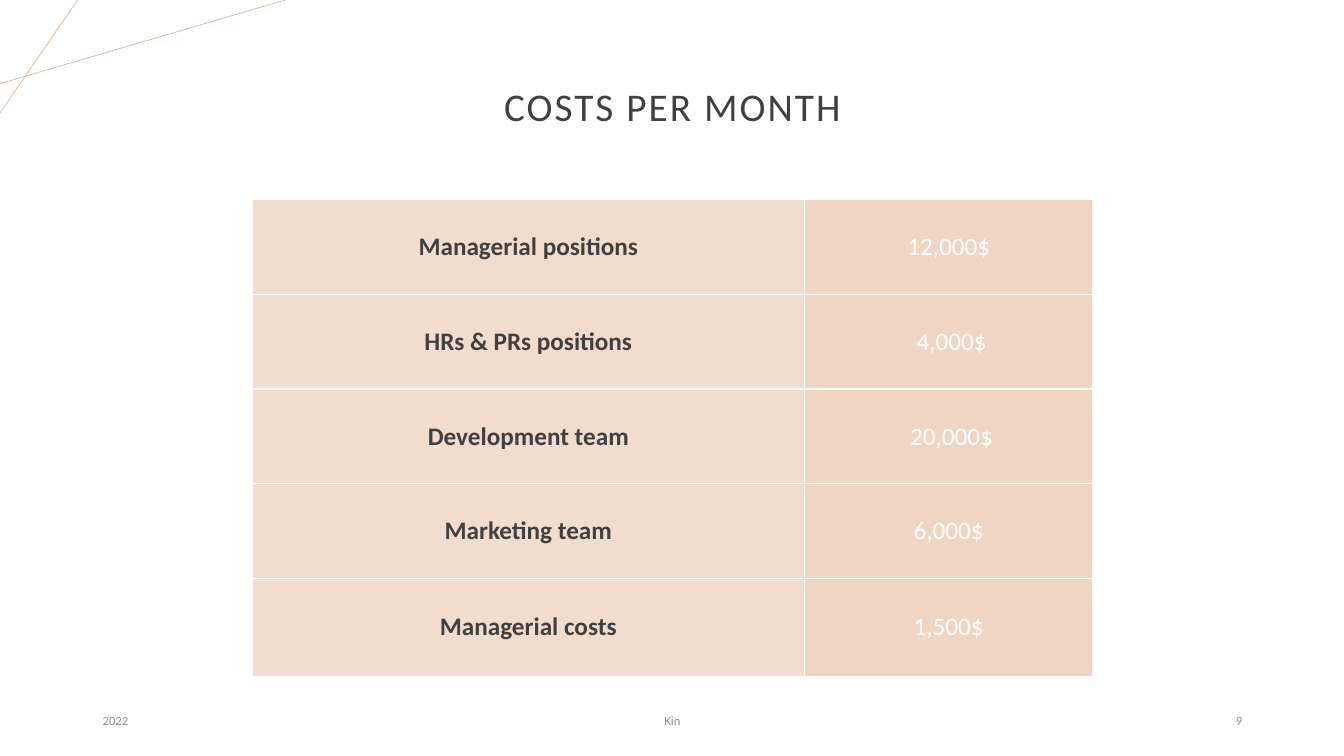
from lxml import etree
from pptx import Presentation
from pptx.dml.color import RGBColor
from pptx.enum import shapes, text
from pptx.oxml import ns
from pptx.util import Inches, Pt

FONT = "Calibri"
DARK, GREY, WHITE, ORANGE = "404040", "8C8C8C", "FFFFFF", "E2B18D"
LABEL_FILL, COST_FILL = "F2DCCD", "F0D5C2"
LEFT, CENTER, RIGHT = text.PP_ALIGN.LEFT, text.PP_ALIGN.CENTER, text.PP_ALIGN.RIGHT
COSTS = [
    ("Managerial positions", "12,000$"),
    ("HRs & PRs positions", " 4,000$"),
    ("Development team", " 20,000$"),
    ("Marketing team", "6,000$"),
    ("Managerial costs", "1,500$"),
]


def rgb(color):
    return RGBColor.from_string(color)


def write(tf, content, size=18, color=DARK, bold=False, align=CENTER, spacing=0, line=1.0):
    p = tf.paragraphs[0]
    p.alignment = align
    p.line_spacing = line
    r = p.add_run()
    r.text = content
    r.font.name = FONT
    r.font.size = Pt(size)
    r.font.bold = bold
    r.font.color.rgb = rgb(color)
    if spacing:
        r.font._element.set("spc", str(round(spacing * 100)))


def add_text(s, content, left, top, width, height, **fmt):
    tf = s.shapes.add_textbox(Inches(left), Inches(top), Inches(width), Inches(height)).text_frame
    tf.word_wrap = True
    tf.vertical_anchor = text.MSO_ANCHOR.MIDDLE
    write(tf, content, **fmt)


def add_line(s, x1, y1, x2, y2):
    line = s.shapes.add_connector(
        shapes.MSO_CONNECTOR.STRAIGHT, Inches(x1), Inches(y1), Inches(x2), Inches(y2))
    line.line.color.rgb = rgb(ORANGE)
    line.line.width = Pt(0.5)
    etree.SubElement(line._element.spPr, ns.qn("a:effectLst"))


def add_borders(cell):
    tc_pr = cell._tc.get_or_add_tcPr()
    for i, side in enumerate(("lnL", "lnR", "lnT", "lnB")):
        ln = etree.Element(ns.qn(f"a:{side}"), w=str(Pt(1)))
        fill = etree.SubElement(ln, ns.qn("a:solidFill"))
        etree.SubElement(fill, ns.qn("a:srgbClr"), val=WHITE)
        tc_pr.insert(i, ln)


def fill_cell(cell, content, fill, **fmt):
    cell.fill.solid()
    cell.fill.fore_color.rgb = rgb(fill)
    cell.vertical_anchor = text.MSO_ANCHOR.MIDDLE
    write(cell.text_frame, content, **fmt)
    add_borders(cell)


def add_cost_table(s):
    table = s.shapes.add_table(
        len(COSTS), 2, Inches(2.5), Inches(1.98), Inches(8.34), Inches(4.71)).table
    table.first_row = False
    table.horz_banding = False
    for column, width in zip(table.columns, (5.48, 2.86)):
        column.width = Inches(width)
    for i, (label, cost) in enumerate(COSTS):
        table.rows[i].height = Inches(0.97 if i == len(COSTS) - 1 else 0.94)
        fill_cell(table.cell(i, 0), label, LABEL_FILL, bold=True)
        fill_cell(table.cell(i, 1), cost, COST_FILL, color=WHITE)


def main():
    prs = Presentation()
    prs.slide_width, prs.slide_height = Inches(13.33), Inches(7.5)
    s = prs.slides.add_slide(prs.slide_layouts[6])
    add_line(s, 0, 0.83, 2.83, 0)
    add_line(s, 0.77, 0, 0, 1.12)
    add_text(s, "COSTS PER MONTH", 0.92, 0.35, 11.5, 1.45, size=28, spacing=1.5, line=0.9)
    footers = [("2022", 0.92, 3, LEFT), ("Kin", 4.42, 4.5, CENTER), ("9", 9.42, 3, RIGHT)]
    for content, left, width, align in footers:
        add_text(s, content, left, 6.95, width, 0.4, size=9, color=GREY, align=align)
    add_cost_table(s)
    prs.save("out.pptx")


if __name__ == "__main__":
    main()
